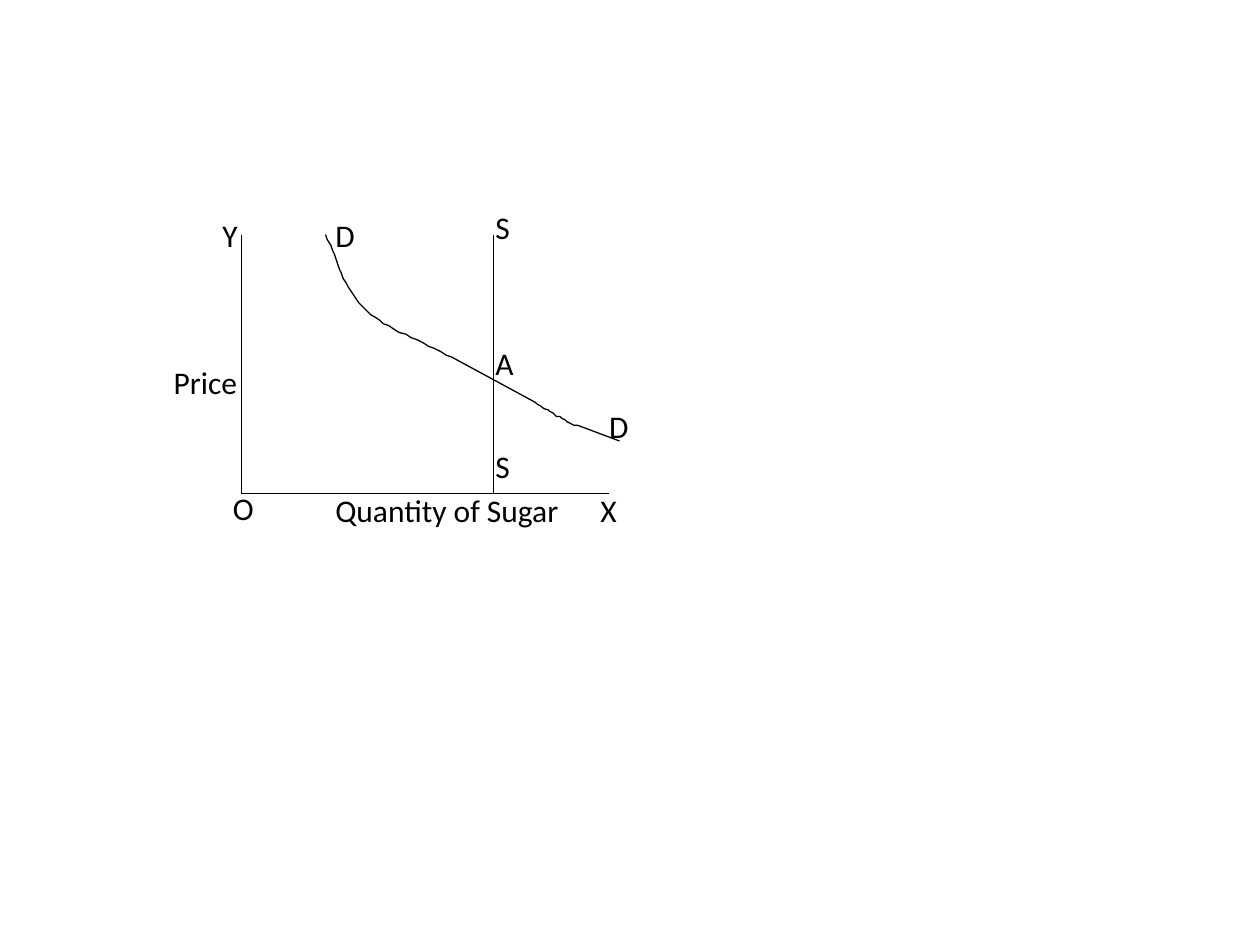
from typing import NamedTuple

from lxml.etree import SubElement
from pptx import Presentation
from pptx.dml.color import RGBColor
from pptx.enum.shapes import MSO_CONNECTOR as Connector
from pptx.enum.text import MSO_AUTO_SIZE as AutoSize
from pptx.oxml.ns import qn
from pptx.util import Pt

COLORS = {"ink": "000000", "paper": "FFFFFF"}
LINE_WIDTH = 0.75
LABEL_HEIGHT = 29

Point = tuple[float, float]


class Line(NamedTuple):
    start: Point
    end: Point


class Label(NamedTuple):
    text: str
    left: float
    top: float
    width: float
    wrap: bool = False
    indent: float = 0


# Frame of the diagram
AXIS_X, SUPPLY_X, AXIS_END = 138, 282, 348
TOP, BASE = 134.4, 282

AXES_AND_SUPPLY = [
    Line((AXIS_X, TOP), (AXIS_X, BASE)),
    Line((AXIS_X, BASE), (AXIS_END, BASE)),
    Line((SUPPLY_X, TOP), (SUPPLY_X, BASE)),
]

# Demand curve: three points make a Bézier segment, one a straight one
DEMAND_START = (186, TOP)
DEMAND_SEGMENTS = [
    [(193.5, 149), (195, 163.5), (210, 178)],
    [(219.5, 187), (242, 195.3), (258, 204.5)],
    [(306, 230.4)],
    [(314, 234.7), (319, 239), (330, 243.4)],
    [(354, 252)],
]

SUPPLY_LABEL_X, DEMAND_LABEL_X = 276, 184.5
LABELS = [
    Label("Y", 120, 120, 23),
    Label("S", SUPPLY_LABEL_X, 115.2, 23),
    Label("D", DEMAND_LABEL_X, 120, 26),
    Label("A", SUPPLY_LABEL_X, 193, 25),
    Label("S", SUPPLY_LABEL_X, 252, 23),
    Label("D", 341, 229, 26),
    Label("X", 336, 277.2, 24),
    Label("O", 126, 276, 26.6),
    Label("Quantity of Sugar", DEMAND_LABEL_X, 277.2, 157, wrap=True),
    Label("Price", 84, 204, 63.4, wrap=True, indent=8),
]


def color(name: str) -> RGBColor:
    return RGBColor.from_string(COLORS[name])


def style_line(shape) -> None:
    shape.line.color.rgb = color("ink")
    shape.line.width = Pt(LINE_WIDTH)


def draw_line(slide, line: Line) -> None:
    ends = [Pt(value) for value in (*line.start, *line.end)]
    connector = slide.shapes.add_connector(Connector.STRAIGHT, *ends)
    style_line(connector)
    SubElement(connector._element.spPr, qn("a:effectLst"))


def bezier(points: list[Point], t: float) -> Point:
    """Point at t on the Bézier curve through repeated interpolation."""
    while len(points) > 1:
        points = [(ax + (bx - ax) * t, ay + (by - ay) * t)
                  for (ax, ay), (bx, by) in zip(points, points[1:])]
    return points[0]


def draw_curve(slide, start: Point, segments: list[list[Point]], steps: int = 16) -> None:
    vertices = []
    here = start
    for segment in segments:
        count = steps if len(segment) > 1 else 1
        vertices += [bezier([here, *segment], i / count) for i in range(1, count + 1)]
        here = segment[-1]
    builder = slide.shapes.build_freeform(*start, scale=Pt(1))
    builder.add_line_segments(vertices, close=False)
    curve = builder.convert_to_shape()
    curve.shadow.inherit = False
    curve.fill.background()
    style_line(curve)


def add_text(slide, text: str, *, left: float, top: float, width: float,
             wrap: bool = False, indent: float = 0, size: float = 18,
             font: str = "Calibri", ink: str = "ink") -> None:
    box = slide.shapes.add_textbox(Pt(left), Pt(top), Pt(width), Pt(LABEL_HEIGHT))
    frame = box.text_frame
    frame.word_wrap = wrap
    frame.auto_size = AutoSize.SHAPE_TO_FIT_TEXT
    frame.margin_left = Pt(7.2 + indent)
    run = frame.paragraphs[0].add_run()
    run.text = text
    run.font.size = Pt(size)
    run.font.name = font
    run.font.color.rgb = color(ink)


def main() -> None:
    deck = Presentation()
    deck.slide_width, deck.slide_height = Pt(720), Pt(540)
    slide = deck.slides.add_slide(deck.slide_layouts[6])
    slide.background.fill.solid()
    slide.background.fill.fore_color.rgb = color("paper")

    # Axes, supply line and demand curve
    for line in AXES_AND_SUPPLY:
        draw_line(slide, line)
    draw_curve(slide, DEMAND_START, DEMAND_SEGMENTS)

    # Labels
    for label in LABELS:
        add_text(slide, **label._asdict())

    deck.save("out.pptx")


if __name__ == "__main__":
    main()
